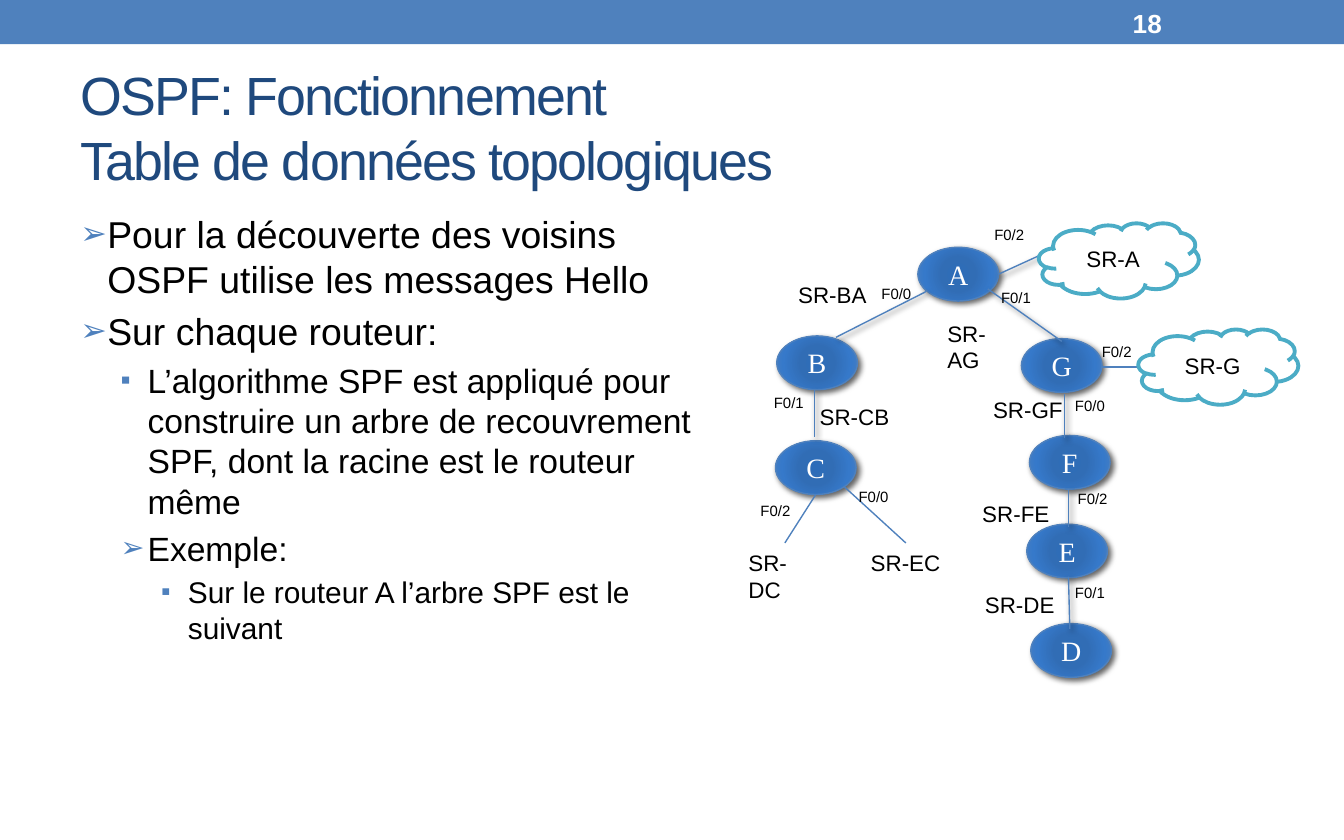
"""Build the OSPF topology slide: bulleted text beside a router graph."""
from lxml import etree
from pptx import Presentation
from pptx.dml.color import RGBColor
from pptx.enum.shapes import MSO_CONNECTOR, MSO_SHAPE
from pptx.enum.text import MSO_ANCHOR, PP_ALIGN
from pptx.oxml import parse_xml
from pptx.oxml.ns import qn
from pptx.util import Inches, Pt

RECT, OVAL, CLOUD = MSO_SHAPE.RECTANGLE, MSO_SHAPE.OVAL, MSO_SHAPE.CLOUD
STRAIGHT = MSO_CONNECTOR.STRAIGHT
TOP, MIDDLE = MSO_ANCHOR.TOP, MSO_ANCHOR.MIDDLE
LEFT, CENTER = PP_ALIGN.LEFT, PP_ALIGN.CENTER
NS = 'xmlns:a="http://schemas.openxmlformats.org/drawingml/2006/main"'
BLUE, NAVY, TEAL, WHITE, BLACK = "4F81BD", "1F497D", "4BACC6", "FFFFFF", "000000"

TITLE = "OSPF: Fonctionnement\vTable de données topologiques"
BULLETS = [
    (0, "➢", "Pour la découverte des voisins OSPF utilise les messages Hello"),
    (0, "➢", "Sur chaque routeur:"),
    (1, "▪", "L’algorithme SPF est appliqué pour construire un arbre de "
             "recouvrement SPF, dont la racine est le routeur même"),
    (1, "➢", "Exemple:"),
    (2, "▪", "Sur le routeur A l’arbre SPF est le suivant"),
]
LEVELS = [(20, 0.2, 85), (18, 0.5, 85), (16, 0.8, 90)]
ROUTERS = [("A", 6.83, 1.84), ("C", 5.77, 3.28), ("B", 5.78, 2.5), ("G", 7.6, 2.52),
           ("F", 7.66, 3.24), ("E", 7.64, 3.9), ("D", 7.67, 4.64)]
SHADED_LINKS = [
    (7.35, 2.15, 7.9, 2.54), (6.89, 2.17, 6.22, 2.51), (6.06, 2.9, 6.06, 3.25),
    (7.92, 2.93, 7.92, 3.26), (7.95, 3.64, 7.95, 3.92), (7.95, 4.29, 7.96, 4.68),
    (7.43, 2.04, 7.78, 1.88),
]
PLAIN_LINKS = [(6.07, 3.68, 5.84, 4.04), (8.2, 2.73, 8.48, 2.73), (6.28, 3.62, 6.74, 4.04)]
CLOUDS = [("SR-A", 7.73, 1.66), ("SR-G", 8.47, 2.45)]
PORTS = [
    ("F0/0", 6.46, 2.07), ("F0/1", 7.35, 2.1), ("F0/0", 7.9, 2.9), ("F0/2", 7.92, 3.59),
    ("F0/1", 7.9, 4.29), ("F0/1", 5.66, 2.88), ("F0/2", 7.3, 1.63), ("F0/2", 5.56, 3.68),
    ("F0/2", 8.1, 2.5), ("F0/0", 6.29, 3.58),
]
SUBNETS = [
    ("SR-DC", 5.47, 4.04), ("SR-AG", 6.95, 2.33), ("SR-FE", 7.21, 3.67),
    ("SR-GF", 7.29, 2.9), ("SR-DE", 7.23, 4.35), ("SR-CB", 6, 2.95),
    ("SR-BA", 5.84, 2.04), ("SR-EC", 6.38, 4.04),
]
STOPS = [(0, "2C6CB9"), (34, "316DB5"), (70, "3679CA"), (100, BLUE)]


def rgb(value):
    return RGBColor.from_string(value)


def style(p, size, color, font="Arial", bold=False, align=LEFT):
    p.alignment = align
    p.font.size, p.font.name, p.font.bold = Pt(size), font, bold
    p.font.color.rgb = rgb(color)


def write(sp, text, size, color, wrap=True, anchor=TOP, **look):
    tf = sp.text_frame
    tf.word_wrap, tf.vertical_anchor = wrap, anchor
    p = tf.paragraphs[0]
    p.text = text
    style(p, size, color, **look)
    return p


def add_box(s, x, y, w, h):
    return s.shapes.add_textbox(Inches(x), Inches(y), Inches(w), Inches(h))


def add_shape(s, kind, x, y, w, h):
    sp = s.shapes.add_shape(kind, Inches(x), Inches(y), Inches(w), Inches(h))
    sp.shadow.inherit = False
    return sp


def set_line(sp, color, width):
    sp.line.color.rgb = rgb(color)
    sp.line.width = Pt(width)


def add_shadow(effects):
    effects.append(parse_xml(
        f'<a:outerShdw {NS} blurRad="38100" dist="25400" dir="2700000" algn="br" '
        f'rotWithShape="0"><a:srgbClr val="{BLACK}"><a:alpha val="60000"/>'
        '</a:srgbClr></a:outerShdw>'))


def add_router(s, name, x, y):
    sp = add_shape(s, OVAL, x, y, 0.6, 0.4)
    stops = "".join(f'<a:gs pos="{pos * 1000}"><a:srgbClr val="{color}"/></a:gs>'
                    for pos, color in STOPS)
    sp.element.spPr.find(qn("a:prstGeom")).addnext(parse_xml(
        f'<a:gradFill {NS} rotWithShape="1"><a:gsLst>{stops}</a:gsLst>'
        '<a:path path="circle"><a:fillToRect l="100000" t="100000" r="100000" '
        'b="100000"/></a:path></a:gradFill>'))
    set_line(sp, BLUE, 0.75)
    add_shadow(sp.element.spPr.find(qn("a:effectLst")))
    write(sp, name, 15, WHITE, wrap=False, anchor=MIDDLE, font="Times New Roman", align=CENTER)


def add_link(s, ends, shaded):
    link = s.shapes.add_connector(STRAIGHT, *map(Inches, ends))
    set_line(link, BLUE, 0.75)
    effects = etree.SubElement(link.element.spPr, qn("a:effectLst"))
    if shaded:
        add_shadow(effects)


def add_cloud(s, name, x, y):
    sp = add_shape(s, CLOUD, x, y, 1.19, 0.56)
    sp.fill.solid()
    sp.fill.fore_color.rgb = rgb(WHITE)
    set_line(sp, TEAL, 2.08)
    write(sp, name, 12, BLACK, anchor=MIDDLE, align=CENTER)


def add_bullets(s):
    tf = add_box(s, 0.5, 1.52, 4.82, 4.3).text_frame
    tf.word_wrap = True
    for i, (level, mark, text) in enumerate(BULLETS):
        size, indent, scale = LEVELS[level]
        p = tf.add_paragraph() if i else tf.paragraphs[0]
        p.text, p.level = text, level
        style(p, size, BLACK)
        p.space_before = Pt(size * 0.2)
        pPr = p._p.get_or_add_pPr()
        pPr.set("marL", str(Inches(indent)))
        pPr.set("indent", str(-Inches(0.2)))
        marks = [f'<a:buClr {NS}><a:srgbClr val="{BLUE}"/></a:buClr>',
                 f'<a:buSzPct {NS} val="{scale * 1000}"/>',
                 f'<a:buFont {NS} typeface="Arial"/>',
                 f'<a:buChar {NS} char="{mark}"/>']
        for xml in marks:
            pPr.find(qn("a:defRPr")).addprevious(parse_xml(xml))


def main():
    prs = Presentation()
    prs.slide_width, prs.slide_height = Inches(10), Inches(6.25)
    s = prs.slides.add_slide(prs.slide_layouts[6])

    band = add_shape(s, RECT, 0, 0, 10, 0.33)
    band.fill.solid()
    band.fill.fore_color.rgb = rgb(BLUE)
    band.line.fill.background()
    title = write(add_box(s, 0.5, 0.49, 9, 0.9), TITLE, 28.8, NAVY, anchor=MIDDLE)
    for r in title.runs:
        r._r.get_or_add_rPr().set("spc", "-100")
    add_bullets(s)

    for router in ROUTERS:
        add_router(s, *router)
    for links, shaded in ((SHADED_LINKS, True), (PLAIN_LINKS, False)):
        for ends in links:
            add_link(s, ends, shaded)
    for cloud in CLOUDS:
        add_cloud(s, *cloud)
    for labels, size, w, h in ((PORTS, 8, 0.43, 0.24), (SUBNETS, 12, 0.72, 0.3)):
        for text, x, y in labels:
            write(add_box(s, x, y, w, h), text, size, BLACK, wrap=False)
    write(add_box(s, 8.33, 0.02, 1.17, 0.3), "18", 14, WHITE, anchor=MIDDLE, bold=True)
    prs.save("out.pptx")


if __name__ == "__main__":
    main()
